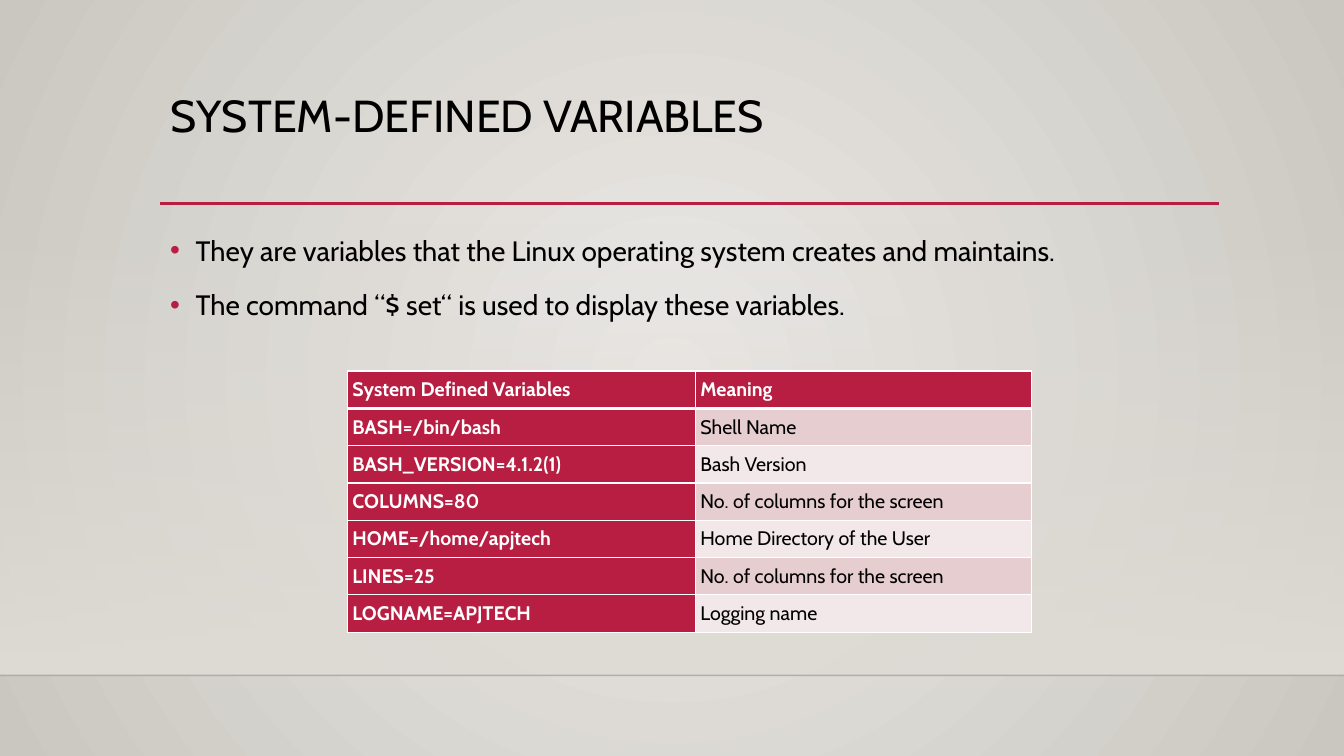
from lxml import etree
from pptx import Presentation
from pptx.dml.color import RGBColor
from pptx.enum.shapes import MSO_CONNECTOR as CONN, MSO_SHAPE as SHAPE
from pptx.enum.text import MSO_ANCHOR as ANCHOR, MSO_AUTO_SIZE as FIT, PP_ALIGN as ALIGN
from pptx.oxml.ns import qn
from pptx.util import Cm, Pt

FONT = "Cabin"
BLACK = RGBColor(0x00, 0x00, 0x00)
WHITE = RGBColor(0xFF, 0xFF, 0xFF)
CRIMSON = RGBColor(0xB7, 0x1E, 0x42)
PINK = RGBColor(0xE6, 0xCD, 0xCF)
PALE_PINK = RGBColor(0xF3, 0xE8, 0xE9)
CENTRE = RGBColor(0xEC, 0xEA, 0xE7)
EDGE = RGBColor(0xCA, 0xC7, 0xC1)
WALL = RGBColor(0xDF, 0xDB, 0xD5)

WIDTH, HEIGHT = 33.87, 19.05
LEFT, TEXT_WIDTH = 4.04, 26.67
FLOOR = 17.02

BULLETS = [
    "They are variables that the Linux operating system creates and maintains.",
    "The command “$ set“ is used to display these variables.",
]
VARIABLES = [
    ("System Defined Variables", "Meaning"),
    ("BASH=/bin/bash", "Shell Name"),
    ("BASH_VERSION=4.1.2(1)", "Bash Version"),
    ("COLUMNS=80", "No. of columns for the screen"),
    ("HOME=/home/apjtech", "Home Directory of the User"),
    ("LINES=25", "No. of columns for the screen"),
    ("LOGNAME=APJTECH", "Logging name"),
]


def add_sub(parent, tag, **attrs):
    return etree.SubElement(parent, qn(tag), **attrs)


def set_alpha(color, percent):
    add_sub(color, "a:alpha", val=str(percent * 1000))


def write(p, text, size=20, color=BLACK, bold=False, spacing=None, before=0):
    p.alignment = ALIGN.LEFT
    p.space_before = Pt(before)
    if spacing:
        p.line_spacing = spacing
    r = p.add_run()
    r.text = text
    font = r.font
    font.name, font.size, font.bold = FONT, Pt(size), bold
    font.color.rgb = color


def set_gradient(fill, first, last):
    fill.gradient()
    for stop, color in zip(fill.gradient_stops, (first, last)):
        stop.color.rgb = color


def add_line(s, x1, x2, y, color, weight):
    line = s.shapes.add_connector(CONN.STRAIGHT, Cm(x1), Cm(y), Cm(x2), Cm(y))
    line.line.color.rgb = color
    line.line.width = Pt(weight)
    add_sub(line.element.spPr, "a:effectLst")
    return line


def add_backdrop(s, width, wall_top, floor):
    # Radial background
    set_gradient(s.background.fill, CENTRE, EDGE)
    grad = s.element.find(".//" + qn("a:gradFill"))
    grad.remove(grad.find(qn("a:lin")))
    circle = add_sub(grad, "a:path", path="circle")
    add_sub(circle, "a:fillToRect", l="50000", t="50000", r="50000", b="50000")

    # Wall fading in towards the floor
    wall = s.shapes.add_shape(SHAPE.RECTANGLE, 0, Cm(wall_top), Cm(width), Cm(floor - wall_top))
    wall.shadow.inherit = False
    wall.line.fill.background()
    set_gradient(wall.fill, WALL, WALL)
    wall.fill.gradient_angle = 270
    set_alpha(wall.element.find(".//" + qn("a:srgbClr")), 0)

    # Floor edge
    edge = add_line(s, 0, width, floor, BLACK, 1)
    set_alpha(edge.element.find(".//" + qn("a:srgbClr")), 20)


def add_title(s, text, x, y, w, h):
    title = s.shapes.title
    title.left, title.top, title.width, title.height = Cm(x), Cm(y), Cm(w), Cm(h)
    tf = title.text_frame
    tf.word_wrap, tf.auto_size = True, FIT.NONE
    tf.vertical_anchor = ANCHOR.TOP
    write(tf.paragraphs[0], text, size=32, spacing=0.9)
    add_line(s, x, x + w, y + h, CRIMSON, 2.5)


def add_bullets(s, lines, x, y, w, h):
    tf = s.shapes.add_textbox(Cm(x), Cm(y), Cm(w), Cm(h)).text_frame
    tf.word_wrap = True
    for i, text in enumerate(lines):
        p = tf.add_paragraph() if i else tf.paragraphs[0]
        pPr = p._p.get_or_add_pPr()
        indent = Cm(0.64)
        pPr.set("marL", str(indent))
        pPr.set("indent", str(-indent))
        bullet_color = add_sub(pPr, "a:buClr")
        add_sub(bullet_color, "a:srgbClr", val=str(CRIMSON))
        add_sub(pPr, "a:buFont", typeface="Arial")
        add_sub(pPr, "a:buChar", char="•")
        write(p, text, spacing=1.2, before=10 if i else 0)


def set_borders(cell, **weights):
    tcPr = cell._tc.get_or_add_tcPr()
    for side in "LRTB":
        ln = add_sub(tcPr, "a:ln" + side, w=str(Pt(weights.get(side, 1))))
        add_sub(add_sub(ln, "a:solidFill"), "a:srgbClr", val=str(WHITE))


def add_variable_table(s, rows, x, y, col_widths, row_height):
    frame = s.shapes.add_table(len(rows), len(col_widths), Cm(x), Cm(y),
                               Cm(sum(col_widths)), Cm(row_height * len(rows)))
    table = frame.table
    table.first_row = table.horz_banding = False
    for column, width in zip(table.columns, col_widths):
        column.width = Cm(width)
    for i, row in enumerate(rows):
        table.rows[i].height = Cm(row_height)
        for j, text in enumerate(row):
            cell = table.cell(i, j)
            heading = i == 0 or j == 0
            # A heavier rule separates the header from the body
            set_borders(cell, T=3 if i == 1 else 1, B=3 if i == 0 else 1)
            cell.fill.solid()
            cell.fill.fore_color.rgb = CRIMSON if heading else PINK if i % 2 else PALE_PINK
            cell.vertical_anchor = ANCHOR.MIDDLE
            cell.margin_left = cell.margin_right = Cm(0.12)
            cell.margin_top = cell.margin_bottom = Cm(0.12)
            write(cell.text_frame.paragraphs[0], text, size=14,
                  color=WHITE if heading else BLACK, bold=heading)


def main():
    prs = Presentation()
    prs.slide_width, prs.slide_height = Cm(WIDTH), Cm(HEIGHT)
    s = prs.slides.add_slide(prs.slide_layouts[5])
    add_backdrop(s, WIDTH, 5.61, FLOOR)
    add_title(s, "SYSTEM-DEFINED VARIABLES", LEFT, 2.23, TEXT_WIDTH, 2.9)
    add_bullets(s, BULLETS, LEFT, 5.59, TEXT_WIDTH, 9.58)
    add_variable_table(s, VARIABLES, 8.76, 9.35, (8.77, 8.46), 0.94)
    prs.save("out.pptx")


if __name__ == "__main__":
    main()
